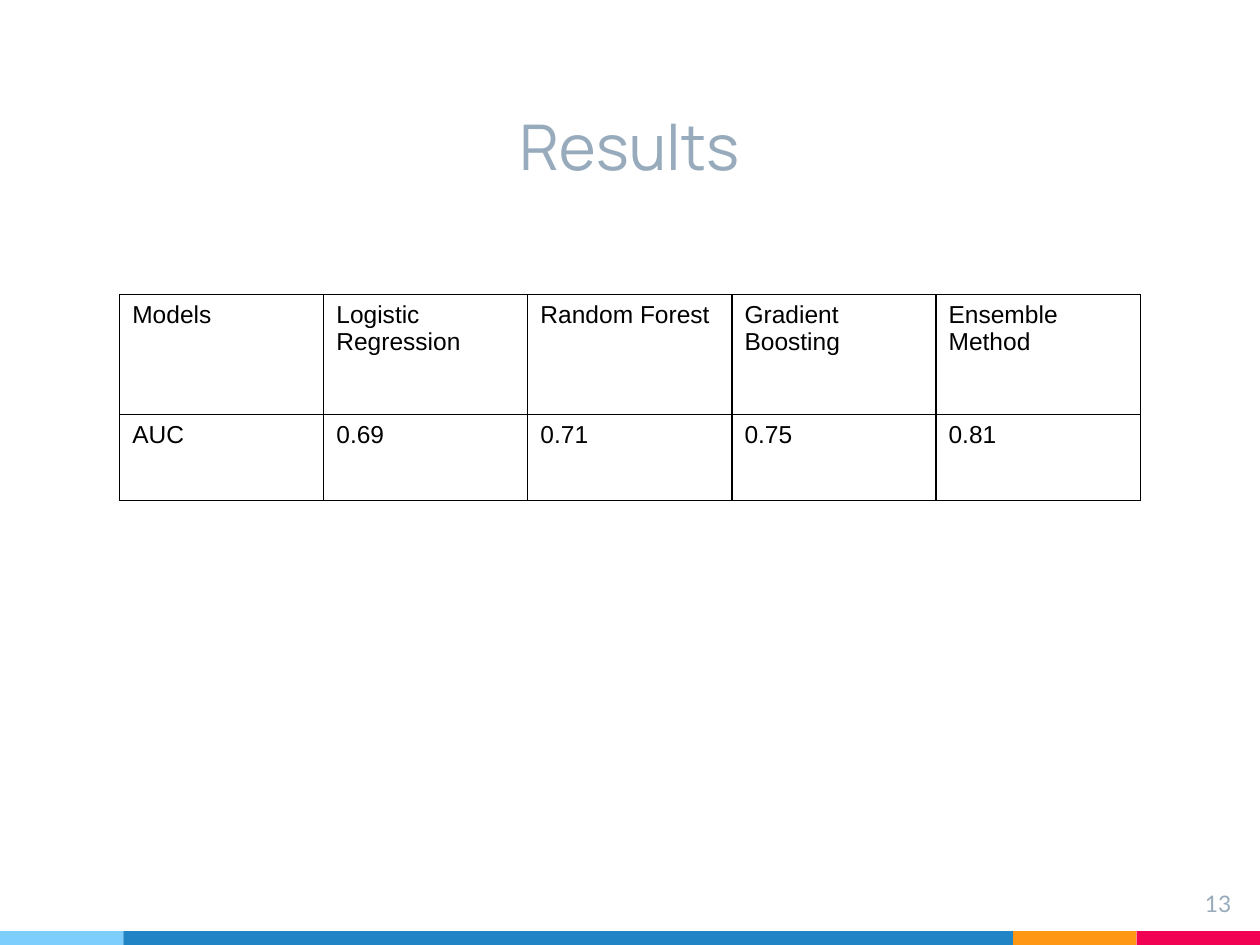
import pptx
import pptx.dml.color
import pptx.enum.shapes
import pptx.enum.text
import pptx.oxml
import pptx.oxml.ns
import pptx.util

Inches = pptx.util.Inches
Align = pptx.enum.text.PP_ALIGN
Anchor = pptx.enum.text.MSO_ANCHOR

COLORS = {
    "sky": "7ECEFD",
    "blue": "2185C5",
    "orange": "FF9715",
    "red": "F20253",
    "gray": "97ABBC",
    "black": "000000",
}


def rgb(name):
    """Return the named colour."""
    return pptx.dml.color.RGBColor.from_string(COLORS[name])


def write_text(frame, text, font="Arial", size=14, color="black", align=Align.LEFT):
    """Write one formatted paragraph into a text frame."""
    frame.word_wrap = True
    paragraph = frame.paragraphs[0]
    paragraph.alignment = align
    run = paragraph.add_run()
    run.text = text
    run.font.name = font
    run.font.size = pptx.util.Pt(size)
    run.font.color.rgb = rgb(color)


class SlideBuilder:
    """Hold the style and the current slide."""

    border_width = 0.75
    border_color = "black"
    text_inset = 0.1

    def __init__(self, slide):
        """Keep the slide to draw on."""
        self.slide = slide

    def bar(self, left, top, width, height, color):
        """Add a plain filled rectangle."""
        shape = self.slide.shapes.add_shape(
            pptx.enum.shapes.MSO_SHAPE.RECTANGLE,
            Inches(left), Inches(top), Inches(width), Inches(height))
        shape.shadow.inherit = False
        shape.fill.solid()
        shape.fill.fore_color.rgb = rgb(color)
        shape.line.fill.background()

    def text(self, left, top, width, height, text, anchor=Anchor.TOP, **style):
        """Add a text box."""
        shape = self.slide.shapes.add_textbox(
            Inches(left), Inches(top), Inches(width), Inches(height))
        frame = shape.text_frame
        frame.vertical_anchor = anchor
        frame.margin_left = frame.margin_right = Inches(self.text_inset)
        frame.margin_top = frame.margin_bottom = Inches(self.text_inset)
        write_text(frame, text, **style)

    def border(self, cell):
        """Draw a line on every side of a cell."""
        properties = cell._tc.get_or_add_tcPr()
        width = pptx.util.Pt(self.border_width)
        for index, side in enumerate(("lnL", "lnR", "lnT", "lnB")):
            properties.insert(index, pptx.oxml.parse_xml(
                f'<a:{side} {pptx.oxml.ns.nsdecls("a")} w="{width}"><a:solidFill>'
                f'<a:srgbClr val="{COLORS[self.border_color]}"/>'
                f'</a:solidFill></a:{side}>'))

    def table(self, left, top, column_width, row_heights, rows):
        """Add an unfilled table with bordered cells."""
        columns = len(rows[0])
        table = self.slide.shapes.add_table(
            len(rows), columns, Inches(left), Inches(top),
            Inches(column_width * columns), Inches(sum(row_heights))).table
        table.first_row = table.horz_banding = False
        for column in table.columns:
            column.width = Inches(column_width)
        for row, height, values in zip(table.rows, row_heights, rows):
            row.height = Inches(height)
            for cell, value in zip(row.cells, values):
                cell.fill.background()
                self.border(cell)
                write_text(cell.text_frame, value)


def main():
    """Build and save the slide."""
    presentation = pptx.Presentation()
    presentation.slide_width = Inches(10)
    presentation.slide_height = Inches(7.5)
    builder = SlideBuilder(presentation.slides.add_slide(presentation.slide_layouts[6]))

    left = 0
    for color, width in (("sky", 0.98), ("blue", 7.06), ("orange", 0.98), ("red", 0.98)):
        builder.bar(left, 7.39, width, 0.11, color)
        left += width

    builder.text(0.33, 0.3, 9.33, 1.25, "Results", anchor=Anchor.BOTTOM,
                 font="Manrope", size=36, color="gray", align=Align.CENTER)
    builder.text(9.27, 6.96, 0.6, 0.46, "13",
                 font="Lato", size=13, color="gray", align=Align.RIGHT)

    results = (
        ("Models", "Logistic Regression", "Random Forest", "Gradient Boosting",
         "Ensemble Method"),
        ("AUC", "0.69", "0.71", "0.75", "0.81"),
    )
    builder.table(0.95, 2.34, 1.62, (0.95, 0.68), results)
    presentation.save("out.pptx")


main()
